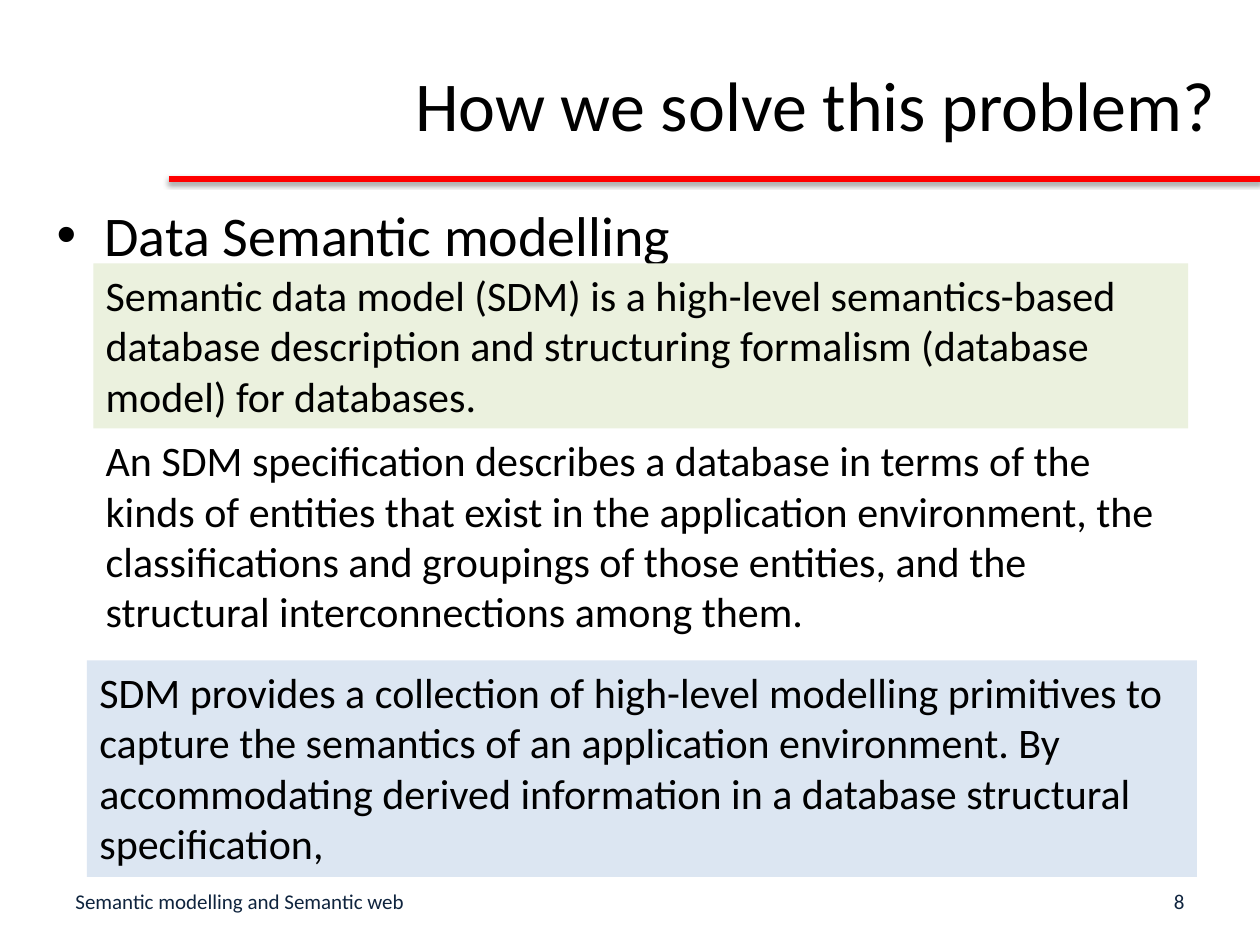
from pptx import Presentation
from pptx.dml.color import RGBColor
from pptx.enum.shapes import MSO_CONNECTOR
from pptx.enum.text import MSO_ANCHOR, PP_ALIGN
from pptx.oxml import parse_xml
from pptx.oxml.ns import nsdecls
from pptx.util import Inches, Pt

STRAIGHT = MSO_CONNECTOR.STRAIGHT
TOP, MIDDLE = MSO_ANCHOR.TOP, MSO_ANCHOR.MIDDLE
LEFT, RIGHT = PP_ALIGN.LEFT, PP_ALIGN.RIGHT
FONT = "Calibri"
BLACK, RED, NAVY = "000000", "FF0000", "0F243E"
GREEN_TINT, BLUE_TINT = "EBF1DE", "DCE6F2"

PASSAGES = [
    ((0.74, 2.09, 8.69, 1.31), GREEN_TINT,
     "Semantic data model (SDM) is a high-level semantics-based database "
     "description and structuring formalism (database model) for databases."),
    ((0.74, 3.4, 8.69, 1.72), None,
     "An SDM specification describes a database in terms of the kinds of "
     "entities that exist in the application environment, the classifications "
     "and groupings of those entities, and the structural interconnections "
     "among them."),
    ((0.69, 5.24, 8.81, 1.72), BLUE_TINT,
     "SDM provides a collection of high-level modelling primitives to capture "
     "the semantics of an application environment. By accommodating derived "
     "information in a database structural specification,"),
]


def color(value):
    """Turn a hex string into a colour."""
    return RGBColor.from_string(value)


def add_text(page, area, text, size, ink=BLACK, align=LEFT, anchor=TOP,
             fill=None, bullet=False):
    """Add a wrapped one-paragraph text box, optionally filled or bulleted."""
    box = page.shapes.add_textbox(*map(Inches, area))
    if fill:
        box.fill.solid()
        box.fill.fore_color.rgb = color(fill)
    frame = box.text_frame
    frame.word_wrap = True
    frame.vertical_anchor = anchor
    frame.text = text
    para = frame.paragraphs[0]
    para.alignment = align
    if bullet:
        add_bullet(para)
    font = para.runs[0].font
    font.name, font.size = FONT, Pt(size)
    font.color.rgb = color(ink)


def add_bullet(para):
    """Give a paragraph a round bullet and a hanging indent."""
    properties = para._p.get_or_add_pPr()
    properties.set("marL", str(Inches(0.38)))
    properties.set("indent", str(-Inches(0.38)))
    properties.append(parse_xml(f'<a:buFont {nsdecls("a")} typeface="Arial"/>'))
    properties.append(parse_xml(f'<a:buChar {nsdecls("a")} char="•"/>'))


def add_rule(page, left, right, top):
    """Add the red title rule with its soft shadow below."""
    rule = page.shapes.add_connector(
        STRAIGHT, Inches(left), Inches(top), Inches(right), Inches(top))
    rule.line.color.rgb = color(RED)
    rule.line.width = Pt(3)
    rule._element.spPr.append(parse_xml(
        f'<a:effectLst {nsdecls("a")}><a:outerShdw blurRad="{Pt(3.1)}" '
        f'dist="{Pt(1.6)}" dir="5400000" rotWithShape="0">'
        f'<a:srgbClr val="{BLACK}"><a:alpha val="38000"/></a:srgbClr>'
        '</a:outerShdw></a:effectLst>'))


def main():
    """Build the slide and save it."""
    deck = Presentation()
    deck.slide_width, deck.slide_height = Inches(10), Inches(7.5)
    page = deck.slides.add_slide(deck.slide_layouts[6])
    add_rule(page, 1.34, 10, 1.42)
    add_text(page, (0.74, 0.2, 9, 1.25), "How we solve this problem?", 40,
             align=RIGHT, anchor=MIDDLE)
    add_text(page, (0.35, 1.54, 7.22, 0.63), "Data Semantic modelling", 32,
             bullet=True)
    add_text(page, (0.5, 6.95, 2.85, 0.4), "Semantic modelling and Semantic web",
             12, NAVY, anchor=MIDDLE)
    add_text(page, (8.96, 6.95, 0.54, 0.4), "8", 12, NAVY, RIGHT, MIDDLE)
    for area, fill, text in PASSAGES:
        add_text(page, area, text, 24, fill=fill)
    deck.save("out.pptx")


if __name__ == "__main__":
    main()
